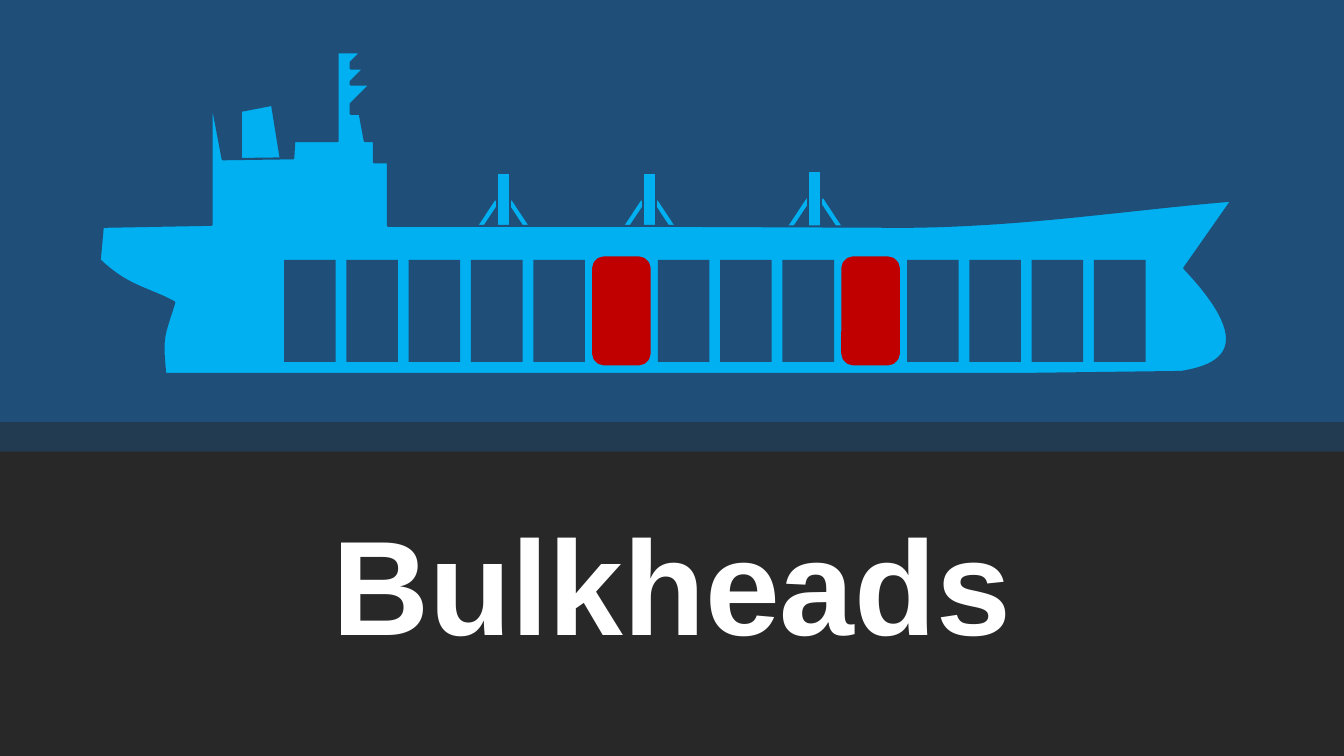
"""Build the Bulkheads title slide with a cargo ship and two marked holds."""
from dataclasses import dataclass
from typing import Optional

import lxml.etree
import pptx
import pptx.dml.color
import pptx.enum.shapes
import pptx.enum.text
import pptx.oxml
import pptx.oxml.ns
import pptx.util

Cm = pptx.util.Cm
SHAPE = pptx.enum.shapes.MSO_SHAPE
COLORS = {
    "sea": "1F4E79", "ship": "00B0F0", "marked": "C00000",
    "panel": "282828", "strip": "233B50", "text": "FFFFFF", "shadow": "000000",
}
WIDTH, HEIGHT = 33.87, 19.05
GRID = 0.0254
CURVE_STEPS = 24


@dataclass
class Box:
    """A filled preset shape, measured in centimetres."""
    left: float
    top: float
    width: float
    height: float
    fill: str
    line: Optional[str] = None
    weight: float = 0
    kind: int = SHAPE.RECTANGLE


@dataclass
class Derrick:
    """A deck post with a brace on each side."""
    left: float
    top: float
    width: float = 0.33
    height: float = 1.42
    reach: float = 0.47


DERRICKS = [Derrick(20.37, 4.32), Derrick(16.2, 4.37), Derrick(12.52, 4.37)]
BAY_LEFT, BAY_TOP, BAY_WIDTH, BAY_HEIGHT = 7.16, 6.55, 1.3, 2.57
BAY_PITCH, BAY_COUNT, MARKED_BAYS = 1.57, 14, (5, 9)
PANEL_TOP = 10.64

FUNNEL = [(239, 110), (270, 104), (279, 160), (239, 160)]
HULL = [
    (343, 52), (358, 52), (348, 62), (348, 68), (361, 68), (348, 81),
    (348, 84), (367, 84), (348, 103), (348, 113), (357, 113), (362, 140),
    (371, 140), (371, 161), (385, 161), (385, 224), (663, 224), (899, 225),
    (1017, 224, 1114, 208, 1222, 199), (1175, 266),
    (1251, 346, 1209, 363, 1172, 369), (1014, 371), (164, 371),
    (160, 332, 163, 333, 173, 300), (148, 286, 127, 285, 99, 258),
    (102, 225), (210, 223), (210, 100), (221, 158), (291, 157),
    (292, 140), (335, 140), (335, 52),
]


def rgb(name: str) -> pptx.dml.color.RGBColor:
    """Look up a colour by its role."""
    return pptx.dml.color.RGBColor.from_string(COLORS[name])


def paint(sp, fill: str, line: Optional[str] = None, weight: float = 0) -> None:
    """Give a shape a flat fill and an optional outline."""
    sp.shadow.inherit = False
    sp.fill.solid()
    sp.fill.fore_color.rgb = rgb(fill)
    if line:
        sp.line.color.rgb = rgb(line)
        sp.line.width = pptx.util.Pt(weight)
    else:
        sp.line.fill.background()


def add_box(s, box: Box):
    """Draw a box and return its shape."""
    sp = s.shapes.add_shape(
        box.kind, Cm(box.left), Cm(box.top), Cm(box.width), Cm(box.height))
    paint(sp, box.fill, box.line, box.weight)
    return sp


def add_brace(s, x1: float, y1: float, x2: float, y2: float) -> None:
    """Draw one brace of a derrick."""
    line = s.shapes.add_connector(
        pptx.enum.shapes.MSO_CONNECTOR.STRAIGHT, Cm(x1), Cm(y1), Cm(x2), Cm(y2))
    line.line.color.rgb = rgb("ship")
    line.line.width = pptx.util.Pt(3)
    lxml.etree.SubElement(
        line._element.spPr, pptx.oxml.ns.qn("a:effectLst"))


def add_derrick(s, d: Derrick) -> None:
    """Draw both braces and then the post."""
    middle, foot = d.top + d.height / 2, d.top + d.height
    right = d.left + d.width
    add_brace(s, right, middle, right + d.reach, foot)
    add_brace(s, d.left, middle, d.left - d.reach, foot)
    add_box(s, Box(d.left, d.top, d.width, d.height, "ship", "sea", 1.5))


def flatten(outline: list) -> list:
    """Turn points and cubic curve triples into a plain list of points."""
    points = []
    for step in outline:
        if len(step) == 2:
            points.append(step)
            continue
        x0, y0 = points[-1]
        x1, y1, x2, y2, x3, y3 = step
        for i in range(1, CURVE_STEPS + 1):
            t = i / CURVE_STEPS
            a, b, c, d = (1 - t) ** 3, 3 * t * (1 - t) ** 2, 3 * t * t * (1 - t), t ** 3
            points.append((a * x0 + b * x1 + c * x2 + d * x3,
                           a * y0 + b * y1 + c * y2 + d * y3))
    return points


def add_outline(s, outline: list) -> None:
    """Draw a closed part of the ship from its grid outline."""
    points = [(Cm(x * GRID), Cm(y * GRID)) for x, y in flatten(outline)]
    builder = s.shapes.build_freeform(*points[0])
    builder.add_line_segments(points[1:], close=True)
    paint(builder.convert_to_shape(), "ship", "sea", 1.5)


def add_title(s) -> None:
    """Place the title in front of the panel and give its text a shadow."""
    sp = s.shapes.title
    sp.left, sp.top, sp.width, sp.height = Cm(0), Cm(12.34), Cm(WIDTH), Cm(4.65)
    sp._element.getparent().append(sp._element)
    tf = sp.text_frame
    tf.text = "Bulkheads"
    tf.word_wrap = True
    tf.auto_size = pptx.enum.text.MSO_AUTO_SIZE.SHAPE_TO_FIT_TEXT
    tf.vertical_anchor = pptx.enum.text.MSO_ANCHOR.MIDDLE
    p = tf.paragraphs[0]
    p.alignment = pptx.enum.text.PP_ALIGN.CENTER
    r = p.runs[0]
    r.font.name, r.font.size, r.font.bold = "Arial", pptx.util.Pt(96), True
    r.font.color.rgb = rgb("text")
    effect = pptx.oxml.parse_xml(
        f'<a:effectLst {pptx.oxml.ns.nsdecls("a")}>'
        '<a:outerShdw dist="76200" dir="2700000" algn="tl">'
        f'<a:srgbClr val="{COLORS["shadow"]}"/></a:outerShdw></a:effectLst>')
    r._r.rPr.find(pptx.oxml.ns.qn("a:solidFill")).addnext(effect)


def main() -> None:
    """Build and save the slide."""
    prs = pptx.Presentation()
    prs.slide_width, prs.slide_height = Cm(WIDTH), Cm(HEIGHT)
    s = prs.slides.add_slide(prs.slide_layouts[5])
    s.background.fill.solid()
    s.background.fill.fore_color.rgb = rgb("sea")

    for derrick in DERRICKS:
        add_derrick(s, derrick)
    for outline in (FUNNEL, HULL):
        add_outline(s, outline)

    bays = [BAY_LEFT + i * BAY_PITCH for i in range(BAY_COUNT)]
    for left in bays:
        add_box(s, Box(left, BAY_TOP, BAY_WIDTH, BAY_HEIGHT, "sea"))
    for i in MARKED_BAYS:
        add_box(s, Box(bays[i], BAY_TOP, BAY_WIDTH, BAY_HEIGHT,
                       "marked", "marked", 5, SHAPE.ROUNDED_RECTANGLE))

    add_box(s, Box(0, PANEL_TOP, WIDTH, HEIGHT - PANEL_TOP, "panel"))
    add_title(s)
    strip = add_box(s, Box(0, PANEL_TOP, WIDTH, 0.74, "strip",
                           kind=SHAPE.ROUNDED_RECTANGLE))
    strip.adjustments[0] = 0
    prs.save("out.pptx")


if __name__ == "__main__":
    main()
